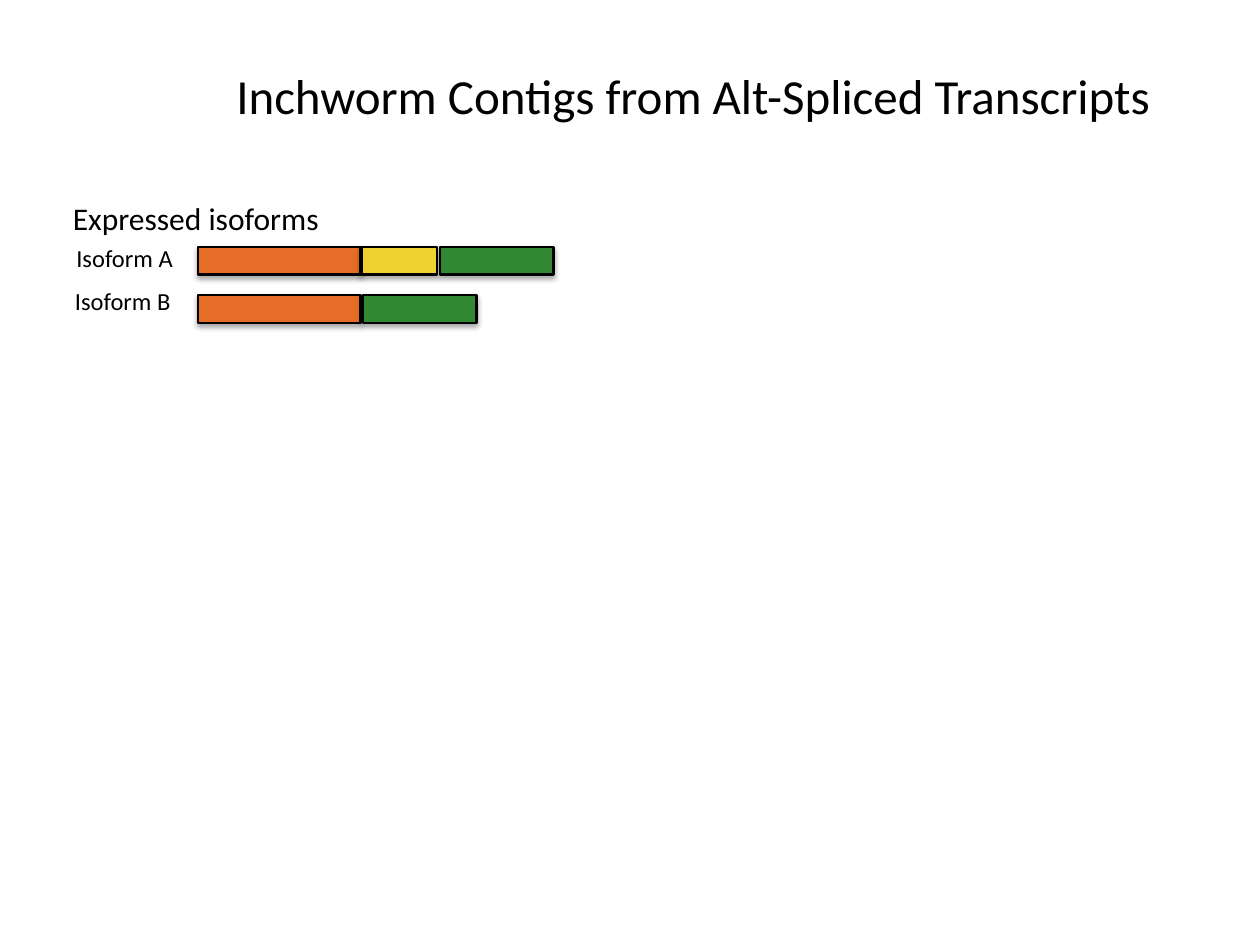
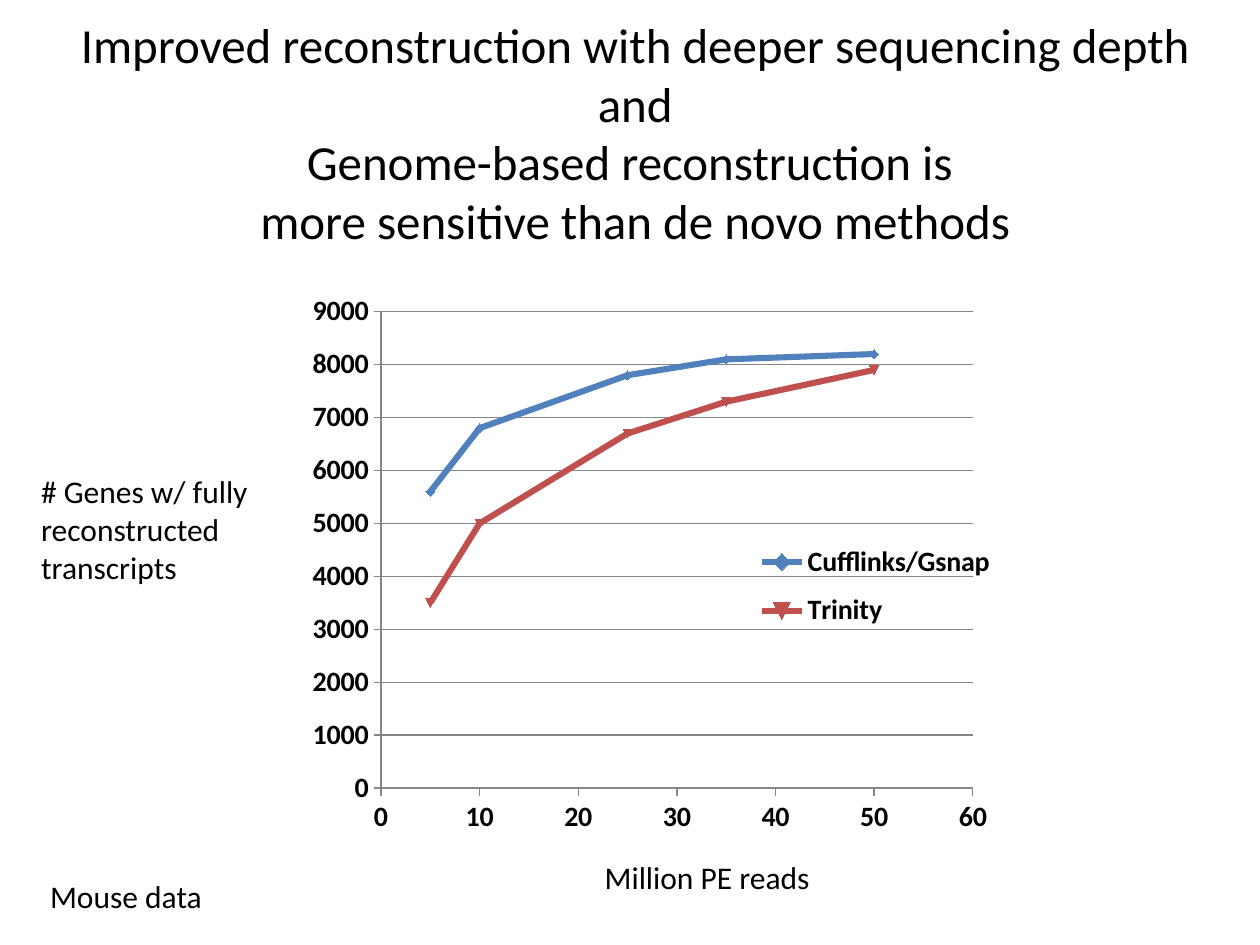
from lxml import etree
from pptx import Presentation
from pptx.chart.data import XyChartData
from pptx.dml.color import RGBColor
from pptx.enum.chart import XL_CHART_TYPE, XL_LEGEND_POSITION, XL_TICK_MARK
from pptx.enum.shapes import MSO_SHAPE
from pptx.enum.text import MSO_ANCHOR, MSO_AUTO_SIZE, PP_ALIGN
from pptx.oxml import parse_xml
from pptx.oxml.ns import nsdecls, qn
from pptx.util import Cm, Pt

RECTANGLE = MSO_SHAPE.RECTANGLE
SCATTER_LINES = XL_CHART_TYPE.XY_SCATTER_LINES
LEGEND_RIGHT = XL_LEGEND_POSITION.RIGHT
TICK_OUTSIDE = XL_TICK_MARK.OUTSIDE
MIDDLE = MSO_ANCHOR.MIDDLE
CENTER = PP_ALIGN.CENTER
NO_FIT = MSO_AUTO_SIZE.NONE
GROW = MSO_AUTO_SIZE.SHAPE_TO_FIT_TEXT

FONT = "Calibri"
BLACK = "000000"
GRID = "868686"
ORANGE, YELLOW, GREEN = "E66D27", "EFD031", "338933"
BLUE, RED = "4F81BD", "C0504D"
TITLE_ONLY = 5

BAR_HEIGHT = 0.56
BAR_PITCH = 0.97
BARS_LEFT = 2.77
ISOFORMS = [
    ("Isoform A", 0.07, 0.89, [(0, 3.28, ORANGE), (4.88, 2.29, GREEN), (3.3, 1.52, YELLOW)]),
    ("Isoform B", 0.04, 1.75, [(0, 3.28, ORANGE), (3.33, 2.29, GREEN)]),
]

READS = [5, 10, 25, 35, 50]
SERIES = [
    ("Cufflinks/Gsnap", BLUE, [5600, 6800, 7800, 8100, 8200]),
    ("Trinity", RED, [3500, 5000, 6700, 7300, 7900]),
]


def color(hex_string):
    return RGBColor.from_string(hex_string)


def style_font(font, size, bold=False):
    font.name = FONT
    font.size = Pt(size)
    font.bold = bold
    font.color.rgb = color(BLACK)


def add_title(slide, box, lines):
    title = slide.shapes.title
    title.left, title.top, title.width, title.height = map(Cm, box)
    frame = title.text_frame
    frame.auto_size = NO_FIT
    frame.vertical_anchor = MIDDLE
    paragraph = frame.paragraphs[0]
    paragraph.alignment = CENTER
    for index, line in enumerate(lines):
        if index:
            paragraph.add_line_break()
        run = paragraph.add_run()
        run.text = line
        style_font(run.font, 28)


def add_label(slide, box, text, size=18, wrap=False):
    shape = slide.shapes.add_textbox(*map(Cm, box))
    frame = shape.text_frame
    frame.word_wrap = wrap
    frame.auto_size = GROW
    run = frame.paragraphs[0].add_run()
    run.text = text
    style_font(run.font, size)


def add_soft_shadow(shape):
    shape.shadow.inherit = False
    effects = shape.fill._xPr.find(qn("a:effectLst"))
    effects.append(parse_xml(
        f'<a:outerShdw {nsdecls("a")} blurRad="{Pt(3.1)}" dist="{Pt(1.8)}" dir="5400000" rotWithShape="0">'
        '<a:srgbClr val="000000"><a:alpha val="35000"/></a:srgbClr></a:outerShdw>'))


def add_isoform_bar(slide, left, top, segments):
    group = slide.shapes.add_group_shape()
    for offset, width, fill in segments:
        segment = group.shapes.add_shape(
            RECTANGLE, Cm(left + offset), Cm(top), Cm(width), Cm(BAR_HEIGHT))
        segment.fill.solid()
        segment.fill.fore_color.rgb = color(fill)
        segment.line.color.rgb = color(BLACK)
        segment.line.width = Pt(1.5)
        add_soft_shadow(segment)


def add_isoforms(slide, left, top):
    for row, (name, label_left, label_top, segments) in enumerate(ISOFORMS):
        add_isoform_bar(slide, left + BARS_LEFT, top + 1.09 + row * BAR_PITCH, segments)
        add_label(slide, (left + label_left, top + label_top, 2.48, 0.86), name, 14)
    add_label(slide, (left, top, 5.54, 1.02), "Expressed isoforms")


def set_layout(element, before, x, y, width, height, inner=False):
    for old in element.findall(qn("c:layout")):
        element.remove(old)
    target = '<c:layoutTarget val="inner"/>' if inner else ""
    layout = parse_xml(
        f'<c:layout {nsdecls("c")}><c:manualLayout>{target}'
        '<c:xMode val="edge"/><c:yMode val="edge"/>'
        f'<c:x val="{x}"/><c:y val="{y}"/><c:w val="{width}"/><c:h val="{height}"/>'
        '</c:manualLayout></c:layout>')
    element.find(qn(before)).addprevious(layout)


def style_axis(axis, maximum, step, gridlines):
    axis.minimum_scale = 0
    axis.maximum_scale = maximum
    axis.major_unit = step
    axis.has_title = False
    axis.major_tick_mark = TICK_OUTSIDE
    axis.has_major_gridlines = gridlines
    axis.format.line.color.rgb = color(GRID)
    axis.tick_labels.number_format = "General"
    axis.tick_labels.number_format_is_linked = False
    if gridlines:
        axis.major_gridlines.format.line.color.rgb = color(GRID)


def add_depth_chart(slide, box):
    data = XyChartData()
    for name, _, genes in SERIES:
        series = data.add_series(name)
        for point in zip(READS, genes):
            series.add_data_point(*point)
    chart = slide.shapes.add_chart(SCATTER_LINES, *map(Cm, box), data).chart
    chart.has_title = False
    style_font(chart.font, 16, True)
    plot = chart.plots[0]
    plot.vary_by_categories = False
    for series, (_, line_color, _) in zip(plot.series, SERIES):
        series.smooth = False
        series.format.line.color.rgb = color(line_color)
        series.format.line.width = Pt(3.5)
        series.marker.format.fill.solid()
        series.marker.format.fill.fore_color.rgb = color(line_color)
        series.marker.format.line.color.rgb = color(line_color)
    style_axis(chart.category_axis, 60, 10, False)
    style_axis(chart.value_axis, 9000, 1000, True)
    chart.has_legend = True
    chart.legend.position = LEGEND_RIGHT
    chart.legend.include_in_layout = False
    set_layout(chart.legend._element, "c:overlay", 0.47, 0.44, 0.26, 0.2)
    plot_area = next(chart._chartSpace.iter(qn("c:plotArea")))
    set_layout(plot_area, "c:scatterChart", 0.09, 0.05, 0.61, 0.85, True)


def build_isoform_slide(slide):
    add_title(slide, (2.54, 0.33, 22.86, 3.18), ["Inchworm Contigs from Alt-Spliced Transcripts"])
    add_isoforms(slide, 1.22, 3.89)


def build_depth_slide(slide):
    add_title(slide, (0.74, 1.07, 24.13, 3.18), [
        "Improved reconstruction with deeper sequencing depth",
        "and",
        "Genome-based reconstruction is ",
        "more sensitive than de novo methods",
    ])
    add_depth_chart(slide, (5.92, 5.72, 19.56, 11.3))
    add_label(slide, (11.94, 17.17, 4.7, 1.02), "Million PE reads")
    add_label(slide, (0.58, 9.4, 5.23, 2.57), "# Genes w/ fully reconstructed transcripts", wrap=True)
    add_label(slide, (0.76, 17.55, 3.61, 1.02), "Mouse data")


def main():
    presentation = Presentation()
    presentation.slide_width = Cm(25.4)
    presentation.slide_height = Cm(19.05)
    for build in (build_isoform_slide, build_depth_slide):
        build(presentation.slides.add_slide(presentation.slide_layouts[TITLE_ONLY]))
    presentation.save("out.pptx")


if __name__ == "__main__":
    main()
